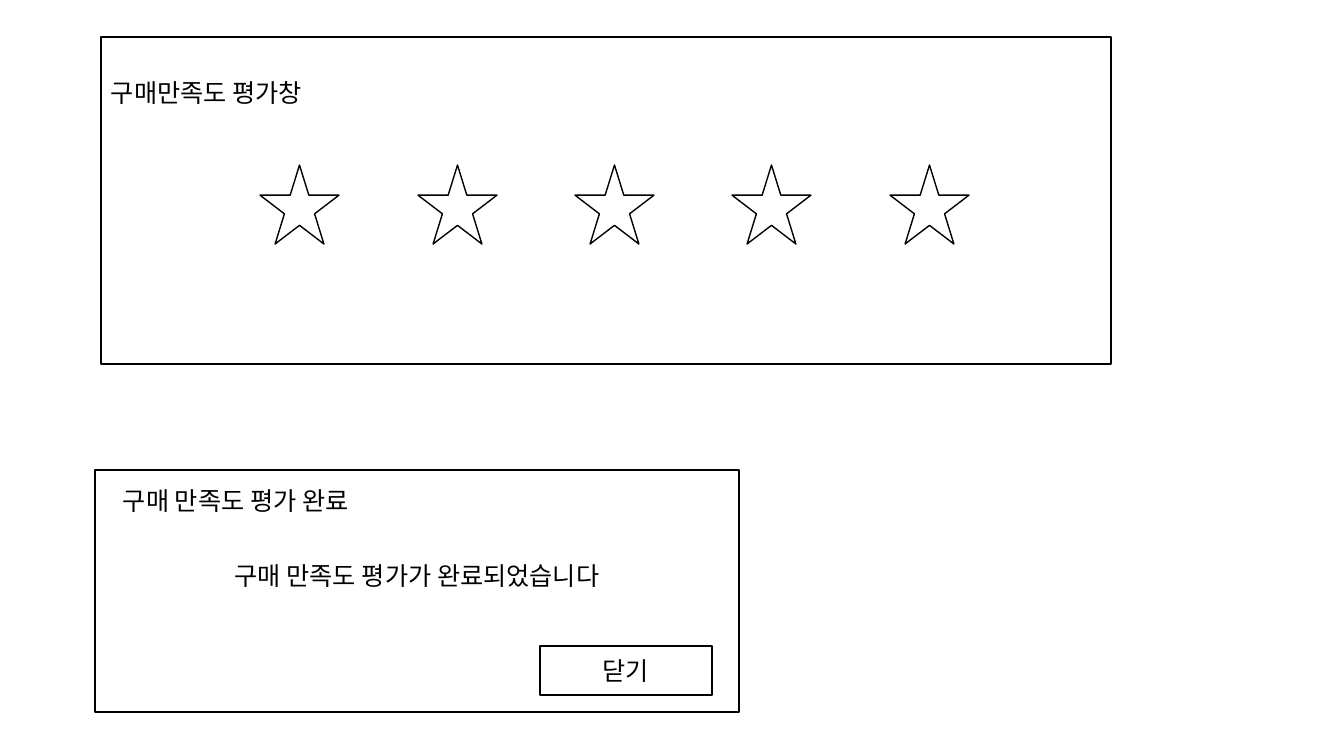
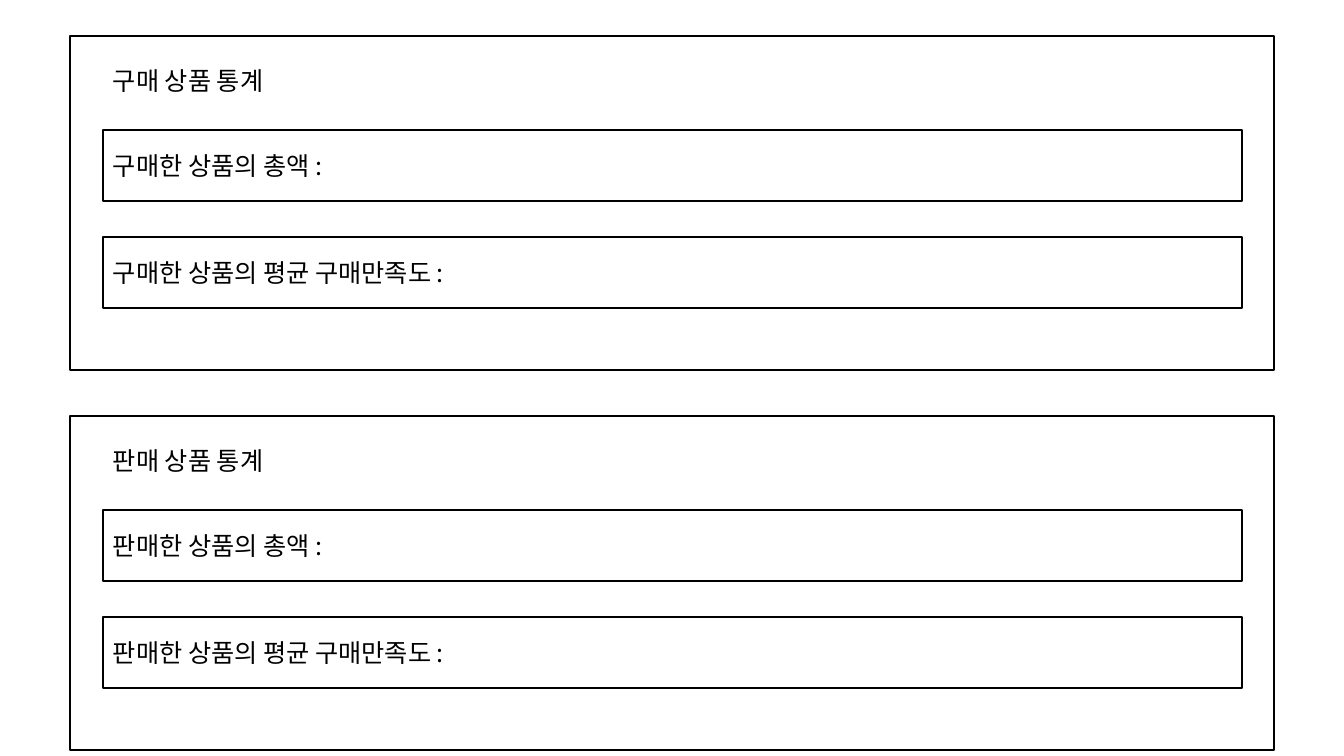
from lxml import etree
from pptx import Presentation
from pptx.dml.color import RGBColor
from pptx.enum.shapes import MSO_SHAPE
from pptx.enum.text import MSO_ANCHOR, MSO_AUTO_SIZE, PP_ALIGN
from pptx.oxml.ns import qn
from pptx.util import Emu, Pt

RECT, STAR = MSO_SHAPE.RECTANGLE, MSO_SHAPE.STAR_5_POINT
LEFT, CENTER = PP_ALIGN.LEFT, PP_ALIGN.CENTER
TOP, MIDDLE = MSO_ANCHOR.TOP, MSO_ANCHOR.MIDDLE
GROW = MSO_AUTO_SIZE.SHAPE_TO_FIT_TEXT

COLORS = {"paper": "FFFFFF", "ink": "000000"}
PAPER, INK = (RGBColor.from_string(COLORS[name]) for name in ("paper", "ink"))
FONT = "Noto Sans CJK KR"
FONT_FORMAT = {"name": FONT, "size": Pt(18)}
PIXEL = 914400 / 100.8
LABEL_HEIGHT = 40


def write(holder, text, align, **frame_format):
    """Put one line of text into a shape or text box."""
    frame = holder.text_frame
    for key, value in {"word_wrap": True, **frame_format}.items():
        setattr(frame, key, value)
    line = frame.paragraphs[0]
    line.alignment = align
    run = line.add_run()
    run.text = text
    for key, value in FONT_FORMAT.items():
        setattr(run.font, key, value)
    run.font.color.rgb = INK
    etree.SubElement(run._r.get_or_add_rPr(), qn("a:ea"), typeface=FONT)


def add_part(slide, box, kind=None, text=None, align=LEFT, **frame_format):
    """Add an outlined shape, or a plain label when no kind is given."""
    place = [Emu(round(length * PIXEL)) for length in box]
    if kind is None:
        label = slide.shapes.add_textbox(*place)
        write(label, text, align, vertical_anchor=TOP, auto_size=GROW)
        return
    outline = slide.shapes.add_shape(kind, *place)
    outline.shadow.inherit = False
    outline.fill.solid()
    outline.fill.fore_color.rgb = PAPER
    outline.line.color.rgb = INK
    outline.line.width = Pt(1)
    if text:
        write(outline, text, align, vertical_anchor=MIDDLE, **frame_format)


deck = Presentation()
deck.slide_width = Emu(round(1344 * PIXEL))
deck.slide_height = Emu(round(756 * PIXEL))
blank = deck.slide_layouts[6]

# Slide 1: rating window and its confirmation
rating = deck.slides.add_slide(blank)
add_part(rating, (101, 37, 1010, 327), RECT)
add_part(rating, (101, 72, 848, LABEL_HEIGHT), text="구매만족도 평가창")

STAR_COUNT, FIRST_STAR, LAST_STAR, STAR_SIZE = 5, 260, 890, 79
star_step = (LAST_STAR - FIRST_STAR) / (STAR_COUNT - 1)
for index in range(STAR_COUNT):
    star_left = round(FIRST_STAR + index * star_step)
    add_part(rating, (star_left, 165, STAR_SIZE, STAR_SIZE), STAR)

add_part(rating, (95, 470, 644, 242), RECT, "구매 만족도 평가가 완료되었습니다", CENTER,
         margin_bottom=Emu(round(36 * PIXEL)))
add_part(rating, (113, 480, 513, LABEL_HEIGHT), text="구매 만족도 평가 완료")
add_part(rating, (540, 646, 172, 49), RECT, "닫기", CENTER)

# Slide 2: statistics for purchases and sales
statistics = deck.slides.add_slide(blank)
PANEL_TOP, PANEL_STEP = 36, 380
ROW_OFFSET, ROW_STEP = 94, 107
for panel, trade in enumerate(("구매", "판매")):
    panel_top = PANEL_TOP + panel * PANEL_STEP
    add_part(statistics, (70, panel_top, 1204, 334), RECT)
    add_part(statistics, (103, panel_top + 24, 559, LABEL_HEIGHT), text=f"{trade} 상품 통계 ")
    for row, measure in enumerate(("총액", "평균 구매만족도")):
        row_top = panel_top + ROW_OFFSET + row * ROW_STEP
        add_part(statistics, (103, row_top, 1139, 71), RECT, f"{trade}한 상품의 {measure} :")

deck.save("out.pptx")
